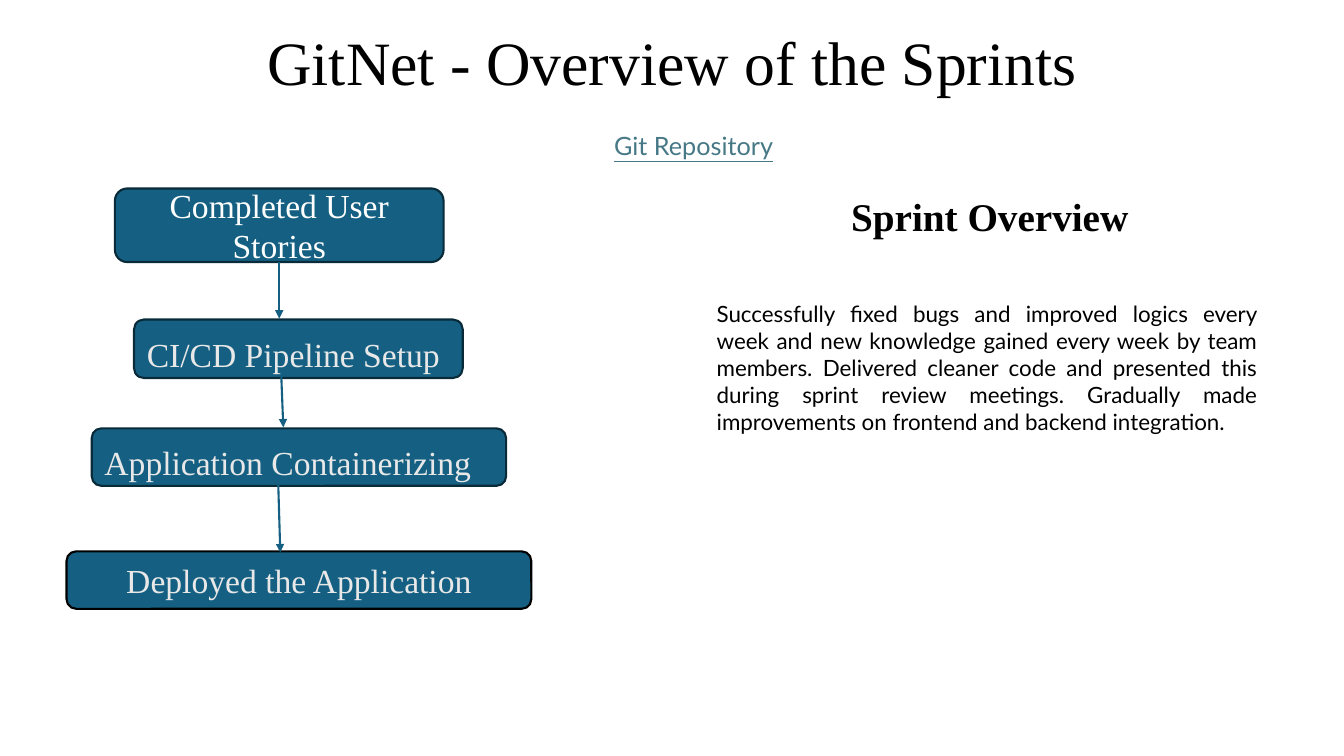
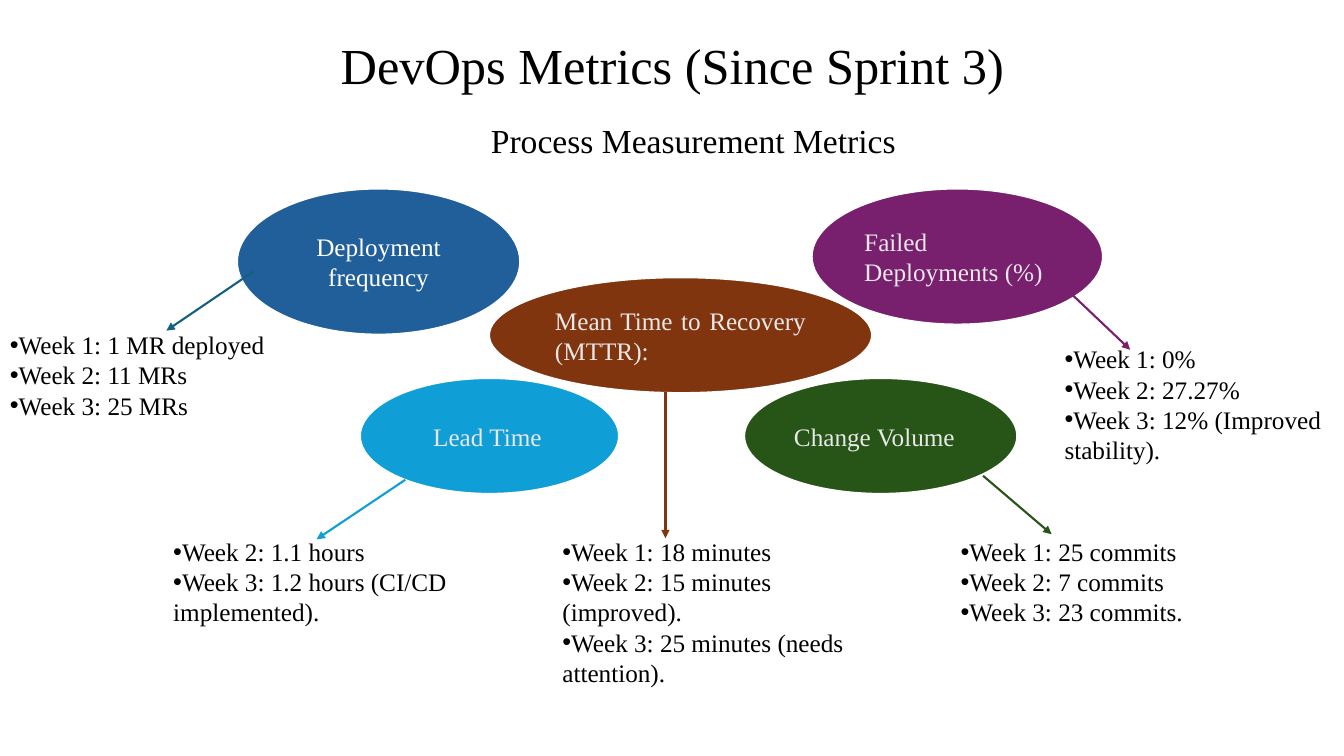
from lxml.etree import SubElement
from pptx import Presentation
from pptx.dml.color import RGBColor
from pptx.enum.shapes import MSO_CONNECTOR, MSO_SHAPE
from pptx.enum.text import MSO_ANCHOR, PP_ALIGN
from pptx.oxml.ns import qn
from pptx.util import Inches, Pt

BLACK = RGBColor(0x00, 0x00, 0x00)
WHITE = RGBColor(0xFF, 0xFF, 0xFF)
LIGHT_GRAY = RGBColor(0xE8, 0xE8, 0xE8)
TEAL = RGBColor(0x15, 0x60, 0x82)
DARK_TEAL = RGBColor(0x09, 0x2A, 0x39)
LINK = RGBColor(0x46, 0x78, 0x86)
BLUE = RGBColor(0x21, 0x5F, 0x9A)
CYAN = RGBColor(0x0F, 0x9E, 0xD5)
BROWN = RGBColor(0x80, 0x35, 0x0E)
PURPLE = RGBColor(0x78, 0x20, 0x6E)
GREEN = RGBColor(0x27, 0x54, 0x17)

SERIF = "Times New Roman"
SANS = "Lato"
LEFT, CENTER, RIGHT, JUSTIFY = (PP_ALIGN.LEFT, PP_ALIGN.CENTER,
                                PP_ALIGN.RIGHT, PP_ALIGN.JUSTIFY)
LINE_WIDTH = Pt(1.5)


def write(shape, lines, size, color=BLACK, align=LEFT, bullet=False, **font_values):
    """Fill a shape with one paragraph per line; font_values are Font attributes."""
    frame = shape.text_frame
    frame.word_wrap = True
    values = {"name": SERIF, "size": Pt(size), **font_values}
    for index, line in enumerate(lines):
        para = frame.paragraphs[0] if index == 0 else frame.add_paragraph()
        para.alignment = align
        span = para.add_run()
        span.text = line
        span.font.color.rgb = color
        for name, value in values.items():
            setattr(span.font, name, value)
        if bullet:
            properties = para._p.get_or_add_pPr()
            SubElement(properties, qn("a:buFont")).set("typeface", "Arial")
            SubElement(properties, qn("a:buChar")).set("char", "•")
    return frame


def add_arrow(slide, start, end, color):
    arrow = slide.shapes.add_connector(
        MSO_CONNECTOR.STRAIGHT, *map(Inches, start + end))
    arrow.line.color.rgb = color
    arrow.line.width = LINE_WIDTH
    SubElement(arrow.line._get_or_add_ln(), qn("a:tailEnd")).set("type", "triangle")
    SubElement(arrow._element.spPr, qn("a:effectLst"))
    return arrow


deck = Presentation()
deck.slide_width = Inches(13.33)
deck.slide_height = Inches(7.5)

# Titles
slides = []
for title, size, top, height in [
    ("GitNet - Overview of the Sprints", 44, 0.23, 0.84),
    ("DevOps Metrics (Since Sprint 3)", 36, 0.4, 0.55),
]:
    slide = deck.slides.add_slide(deck.slide_layouts[6])
    box = slide.shapes.add_textbox(*map(Inches, (0.92, top, 11.5, height)))
    frame = write(box, [title], size, align=CENTER)
    frame.vertical_anchor = MSO_ANCHOR.MIDDLE
    frame.paragraphs[0].line_spacing = 0.9
    slides.append(slide)
sprint_slide, metrics_slide = slides

# Plain text
overview = (
    "Successfully fixed bugs and improved logics every week and new knowledge "
    "gained every week by team members. Delivered cleaner code and presented this "
    "during sprint review meetings. Gradually made improvements on frontend and "
    "backend integration."
)
for slide, place, text, values in [
    (sprint_slide, (8.29, 1.86, 3, 0.57), "Sprint Overview",
     {"size": 28, "align": RIGHT, "bold": True}),
    (sprint_slide, (7.01, 2.93, 5.56, 1.92), overview,
     {"size": 16, "align": JUSTIFY, "name": SANS}),
    (sprint_slide, (5.73, 1.24, 2.3, 0.4), "Git Repository",
     {"size": 18, "align": CENTER, "name": SANS, "color": LINK, "underline": True}),
    (metrics_slide, (4.77, 1.14, 5.22, 0.5), "Process Measurement Metrics",
     {"size": 24}),
]:
    write(slide.shapes.add_textbox(*map(Inches, place)), [text], **values)

# Sprint steps and metric ovals
LOW_TEXT = {"margin_top": Inches(0.15)}
INDENTED = {"margin_left": Inches(0.35)}
STEP = (sprint_slide, MSO_SHAPE.ROUNDED_RECTANGLE, 24)
METRIC = (metrics_slide, MSO_SHAPE.OVAL, 18)
shapes = {}
for (slide, kind, size), place, lines, fill, outline, color, align, margins in [
    (STEP, (1.14, 1.87, 3.26, 0.73), ["Completed User Stories"],
     TEAL, DARK_TEAL, WHITE, CENTER, {}),
    (STEP, (1.33, 3.17, 3.26, 0.58), ["CI/CD Pipeline Setup"],
     TEAL, DARK_TEAL, LIGHT_GRAY, LEFT, LOW_TEXT),
    (STEP, (0.91, 4.25, 4.11, 0.57), ["Application Containerizing"],
     TEAL, DARK_TEAL, LIGHT_GRAY, LEFT, LOW_TEXT),
    (STEP, (0.66, 5.47, 4.61, 0.57), ["Deployed the Application"],
     TEAL, BLACK, LIGHT_GRAY, CENTER, {}),
    (METRIC, (2.35, 1.87, 2.81, 1.45), ["Deployment frequency"],
     BLUE, WHITE, WHITE, CENTER, {}),
    (METRIC, (3.57, 3.75, 2.57, 1.15), ["Lead Time"],
     CYAN, WHITE, LIGHT_GRAY, JUSTIFY, INDENTED),
    (METRIC, (4.85, 2.75, 3.8, 1.15), ["Mean Time to Recovery (MTTR):"],
     BROWN, WHITE, LIGHT_GRAY, JUSTIFY, {}),
    (METRIC, (8.05, 1.87, 2.89, 1.35), ["Failed", "Deployments (%)"],
     PURPLE, WHITE, LIGHT_GRAY, JUSTIFY, {}),
    (METRIC, (7.38, 3.75, 2.71, 1.15), ["Change Volume"],
     GREEN, WHITE, LIGHT_GRAY, JUSTIFY, {}),
]:
    shape = slide.shapes.add_shape(kind, *map(Inches, place))
    shape.shadow.inherit = False
    shape.fill.solid()
    shape.fill.fore_color.rgb = fill
    shape.line.color.rgb = outline
    shape.line.width = LINE_WIDTH
    frame = write(shape, lines, size, color, align)
    frame.vertical_anchor = MSO_ANCHOR.MIDDLE
    for name, value in margins.items():
        setattr(frame, name, value)
    shapes[lines[0]] = shape

# Weekly figures
for place, lines in [
    ((0, 3.22, 3, 1.01),
     ["Week 1: 1 MR deployed", "Week 2: 11 MRs", "Week 3: 25 MRs"]),
    ((10.46, 3.36, 2.87, 1.31),
     ["Week 1: 0%", "Week 2: 27.27%", "Week 3: 12% (Improved stability)."]),
    ((1.62, 5.27, 3, 1.01),
     ["Week 2: 1.1 hours", "Week 3: 1.2 hours (CI/CD implemented)."]),
    ((9.43, 5.27, 3, 1.01),
     ["Week 1: 25 commits", "Week 2: 7 commits", "Week 3: 23 commits."]),
    ((5.48, 5.27, 3.26, 1.62),
     ["Week 1: 18 minutes", "Week 2: 15 minutes (improved).",
      "Week 3: 25 minutes (needs attention)."]),
]:
    box = metrics_slide.shapes.add_textbox(*map(Inches, place))
    write(box, lines, 18, bullet=True)

# Arrows
first_arrow = add_arrow(sprint_slide, (2.77, 2.6), (2.77, 3.16), TEAL)
first_arrow.begin_connect(shapes["Completed User Stories"], 2)
for slide, start, end, color in [
    (sprint_slide, (2.79, 3.73), (2.81, 4.24), TEAL),
    (sprint_slide, (2.76, 4.81), (2.78, 5.48), TEAL),
    (metrics_slide, (4.02, 4.76), (3.14, 5.35), CYAN),
    (metrics_slide, (2.52, 2.69), (1.65, 3.28), TEAL),
    (metrics_slide, (6.6, 3.89), (6.6, 5.34), BROWN),
    (metrics_slide, (9.75, 4.72), (10.43, 5.3), GREEN),
    (metrics_slide, (10.61, 2.9), (11.21, 3.47), PURPLE),
]:
    add_arrow(slide, start, end, color)

deck.save("out.pptx")
